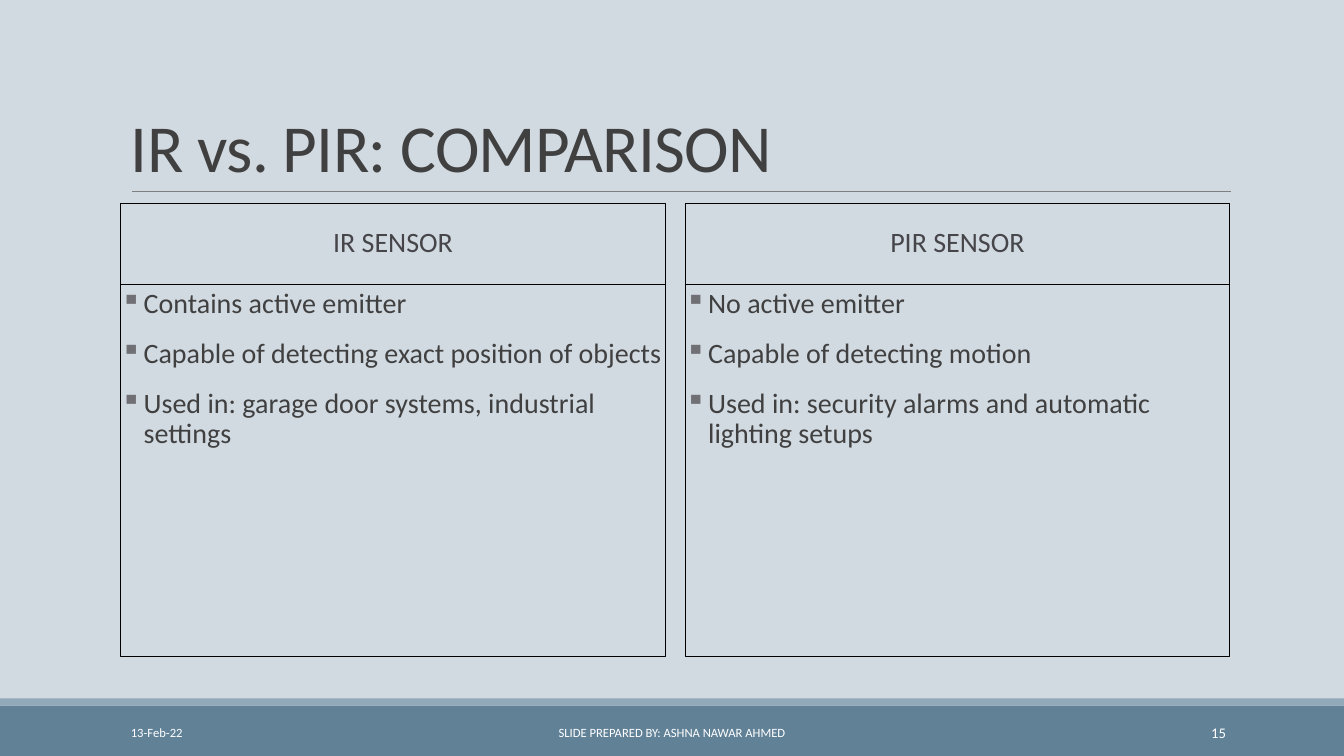
from dataclasses import dataclass

from lxml import etree
from pptx import Presentation
from pptx import util as u
from pptx.dml.color import RGBColor
from pptx.enum import shapes, text
from pptx.oxml import ns
from pptx.shapes.autoshape import Shape
from pptx.slide import Slide

BACKGROUND = RGBColor(0xD1, 0xD9, 0xE1)
FOOTER_BLUE = RGBColor(0x61, 0x81, 0x97)
STRIPE_BLUE = RGBColor(0x92, 0xA9, 0xB9)
RULE_GREY = RGBColor(0x80, 0x80, 0x80)
TEXT_GREY = RGBColor(0x40, 0x40, 0x40)
HEADER_GREY = RGBColor(0x46, 0x46, 0x4A)
BULLET_GREY = RGBColor(0x6F, 0x6F, 0x74)
BLACK = RGBColor(0, 0, 0)
WHITE = RGBColor(0xFF, 0xFF, 0xFF)

FONT = "Calibri"
LEFT, PANEL_WIDTH, PANEL_STEP = 86.4, 388.8, 403.2
HEADER_TOP, BODY_TOP, BODY_BOTTOM = 145.2, 203.2, 469
BULLET_INDENT = 16.2


@dataclass(frozen=True)
class Area:
    left: float
    top: float
    width: float
    height: float

    def lengths(self) -> list[u.Length]:
        return [u.Pt(n) for n in (self.left, self.top, self.width, self.height)]


@dataclass(frozen=True)
class Style:
    size: float
    color: RGBColor
    align: text.PP_ALIGN = text.PP_ALIGN.LEFT
    anchor: text.MSO_ANCHOR = text.MSO_ANCHOR.MIDDLE
    line_spacing: float = 1.0
    bulleted: bool = False


@dataclass(frozen=True)
class Panel:
    header: str
    points: list[str]


@dataclass(frozen=True)
class FooterItem:
    wording: str
    left: float
    width: float
    style: Style


TITLE = Style(48, TEXT_GREY, anchor=text.MSO_ANCHOR.BOTTOM, line_spacing=0.85)
HEADER = Style(20, HEADER_GREY, text.PP_ALIGN.CENTER, line_spacing=0.9)
BODY = Style(20, TEXT_GREY, anchor=text.MSO_ANCHOR.TOP, line_spacing=0.9, bulleted=True)

PANELS = [
    Panel("IR SENSOR", [
        "Contains active emitter",
        "Capable of detecting exact position of objects",
        "Used in: garage door systems, industrial settings",
    ]),
    Panel("PIR SENSOR", [
        "No active emitter",
        "Capable of detecting motion",
        "Used in: security alarms and automatic lighting setups",
    ]),
]
FOOTER = [
    FooterItem("13-Feb-22", LEFT, 194.4, Style(9, WHITE)),
    FooterItem("SLIDE PREPARED BY: ASHNA NAWAR AHMED", 290.2, 379.4,
               Style(9, WHITE, text.PP_ALIGN.CENTER)),
    FooterItem("15", 779.8, 103, Style(10.5, WHITE, text.PP_ALIGN.RIGHT)),
]


def add_bullet(para) -> None:
    """Give the paragraph a hanging grey square."""
    props = para._p.get_or_add_pPr()
    props.set("marL", str(u.Pt(BULLET_INDENT)))
    props.set("indent", str(-u.Pt(BULLET_INDENT)))
    color = etree.SubElement(props, ns.qn("a:buClr"))
    etree.SubElement(color, ns.qn("a:srgbClr"), val=str(BULLET_GREY))
    etree.SubElement(props, ns.qn("a:buChar"), char="▪")


def write(box: Shape, lines: list[str], style: Style) -> None:
    frame = box.text_frame
    frame.word_wrap = True
    frame.vertical_anchor = style.anchor
    if style.bulleted:
        frame.margin_left = frame.margin_right = u.Pt(0)
    for index, line in enumerate(lines):
        para = frame.add_paragraph() if index else frame.paragraphs[0]
        para.text = line
        para.alignment = style.align
        para.line_spacing = style.line_spacing
        if index:
            para.space_before = u.Pt(12)
        if style.bulleted:
            para.space_after = u.Pt(2)
            add_bullet(para)
        para.font.name = FONT
        para.font.size = u.Pt(style.size)
        para.font.color.rgb = style.color


def add_text(page: Slide, area: Area, wording: str, style: Style) -> Shape:
    box = page.shapes.add_textbox(*area.lengths())
    write(box, [wording], style)
    return box


def add_rectangle(page: Slide, area: Area) -> Shape:
    box = page.shapes.add_shape(shapes.MSO_SHAPE.RECTANGLE, *area.lengths())
    box.shadow.inherit = False
    return box


def add_band(page: Slide, area: Area, color: RGBColor) -> None:
    """Add a full-colour strip with no outline."""
    band = add_rectangle(page, area)
    band.fill.solid()
    band.fill.fore_color.rgb = color
    band.line.fill.background()


def add_frame(page: Slide, area: Area, lines: list[str], style: Style) -> None:
    """Add an outlined box with text and no fill."""
    box = add_rectangle(page, area)
    box.fill.background()
    box.line.color.rgb = BLACK
    box.line.width = u.Pt(0.75)
    write(box, lines, style)


def add_title_rule(page: Slide) -> None:
    rule = page.shapes.add_connector(
        shapes.MSO_CONNECTOR.STRAIGHT, u.Pt(94.3), u.Pt(136.8), u.Pt(879), u.Pt(136.8))
    rule.line.color.rgb = RULE_GREY
    rule.line.width = u.Pt(0.5)
    etree.SubElement(rule._element.spPr, ns.qn("a:effectLst"))


def main() -> None:
    deck = Presentation()
    deck.slide_width, deck.slide_height = u.Pt(960), u.Pt(540)
    page = deck.slides.add_slide(deck.slide_layouts[6])
    page.background.fill.solid()
    page.background.fill.fore_color.rgb = BACKGROUND

    add_band(page, Area(0, 504, 960, 36), FOOTER_BLUE)
    add_band(page, Area(0, 498.8, 960, 5.2), STRIPE_BLUE)
    add_title_rule(page)
    title = add_text(page, Area(LEFT, 22.4, 792, 114.2), "IR vs. PIR: COMPARISON", TITLE)
    title.text_frame.paragraphs[0].runs[0]._r.get_or_add_rPr().set("spc", "-50")

    for column, panel in enumerate(PANELS):
        left = LEFT + column * PANEL_STEP
        add_frame(page, Area(left, HEADER_TOP, PANEL_WIDTH, BODY_TOP - HEADER_TOP),
                  [panel.header], HEADER)
        add_frame(page, Area(left, BODY_TOP, PANEL_WIDTH, BODY_BOTTOM - BODY_TOP),
                  panel.points, BODY)

    for item in FOOTER:
        add_text(page, Area(item.left, 508.6, item.width, 28.8), item.wording, item.style)

    deck.save("out.pptx")


if __name__ == "__main__":
    main()
